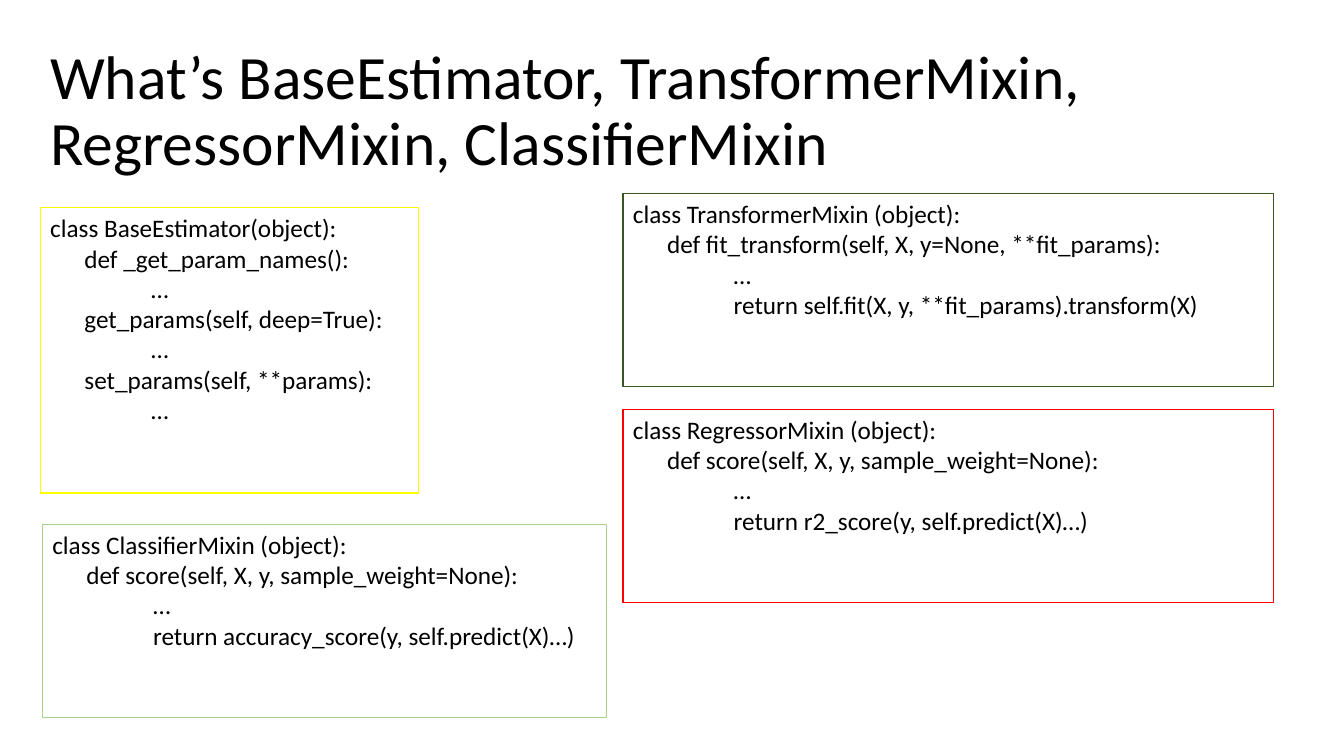
from dataclasses import dataclass

from pptx import Presentation
from pptx.dml.color import RGBColor
from pptx.enum.shapes import MSO_SHAPE
from pptx.enum.text import MSO_ANCHOR, PP_ALIGN
from pptx.util import Pt

RECT = MSO_SHAPE.RECTANGLE
TOP = MSO_ANCHOR.TOP
MIDDLE = MSO_ANCHOR.MIDDLE
LEFT = PP_ALIGN.LEFT

FONT = "Calibri"
COLORS = {
    "text": "000000",
    "base": "FFFF00",
    "transform": "385723",
    "regress": "FF0000",
    "classify": "A9D18E",
}
INDENTS = (0, 24.4, 72)
RIGHT_X, RIGHT_W, LOW_H = 445, 464.4, 138.2


@dataclass(frozen=True)
class Line:
    level: int
    text: str


@dataclass(frozen=True)
class Panel:
    x: float
    y: float
    w: float
    h: float
    color: str
    code: tuple[Line, ...]


DOTS = Line(2, "…")
SCORE = Line(1, "def score(self, X, y, sample_weight=None):")

PANELS = (
    Panel(28.8, 148.4, 270, 203.8, "base", (
        Line(0, "class BaseEstimator(object):"),
        Line(1, "def _get_param_names():"),
        DOTS,
        Line(1, "get_params(self, deep=True):"),
        DOTS,
        Line(1, "set_params(self, **params):"),
        DOTS,
    )),
    Panel(RIGHT_X, 138.2, RIGHT_W, LOW_H, "transform", (
        Line(0, "class TransformerMixin (object):"),
        Line(1, "def fit_transform(self, X, y=None, **fit_params):"),
        DOTS,
        Line(2, "return self.fit(X, y, **fit_params).transform(X)"),
    )),
    Panel(RIGHT_X, 292.4, RIGHT_W, LOW_H, "regress", (
        Line(0, "class RegressorMixin (object):"),
        SCORE,
        DOTS,
        Line(2, "return r2_score(y, self.predict(X)…)"),
    )),
    Panel(30.3, 374.4, 403.2, LOW_H, "classify", (
        Line(0, "class ClassifierMixin (object):"),
        SCORE,
        DOTS,
        Line(2, "return accuracy_score(y, self.predict(X)…)"),
    )),
)


def style(para, size: float) -> None:
    para.alignment = LEFT
    for run in para.runs:
        run.font.name = FONT
        run.font.size = Pt(size)
        run.font.color.rgb = RGBColor.from_string(COLORS["text"])


def draw_title(slide, text: str) -> None:
    box = slide.shapes.add_textbox(Pt(28.8), Pt(28), Pt(828), Pt(104.4))
    frame = box.text_frame
    frame.word_wrap = True
    frame.vertical_anchor = MIDDLE
    frame.text = text
    para = frame.paragraphs[0]
    para.line_spacing = 0.9
    style(para, 44)


def draw_panel(slide, panel: Panel) -> None:
    box = slide.shapes.add_shape(
        RECT, Pt(panel.x), Pt(panel.y), Pt(panel.w), Pt(panel.h))
    box.shadow.inherit = False
    box.fill.background()
    box.line.color.rgb = RGBColor.from_string(COLORS[panel.color])
    box.line.width = Pt(0.75)
    frame = box.text_frame
    frame.word_wrap = True
    frame.vertical_anchor = TOP
    frame.text = "\n".join(line.text for line in panel.code)
    for para, line in zip(frame.paragraphs, panel.code):
        props = para._p.get_or_add_pPr()
        props.set("marL", str(Pt(INDENTS[line.level])))
        props.set("indent", "0")
        style(para, 18)


def main() -> None:
    deck = Presentation()
    deck.slide_width, deck.slide_height = Pt(960), Pt(540)
    slide = deck.slides.add_slide(deck.slide_layouts[6])
    draw_title(slide, "What’s BaseEstimator, TransformerMixin, "
                      "RegressorMixin, ClassifierMixin")
    for panel in PANELS:
        draw_panel(slide, panel)
    deck.save("out.pptx")


if __name__ == "__main__":
    main()
